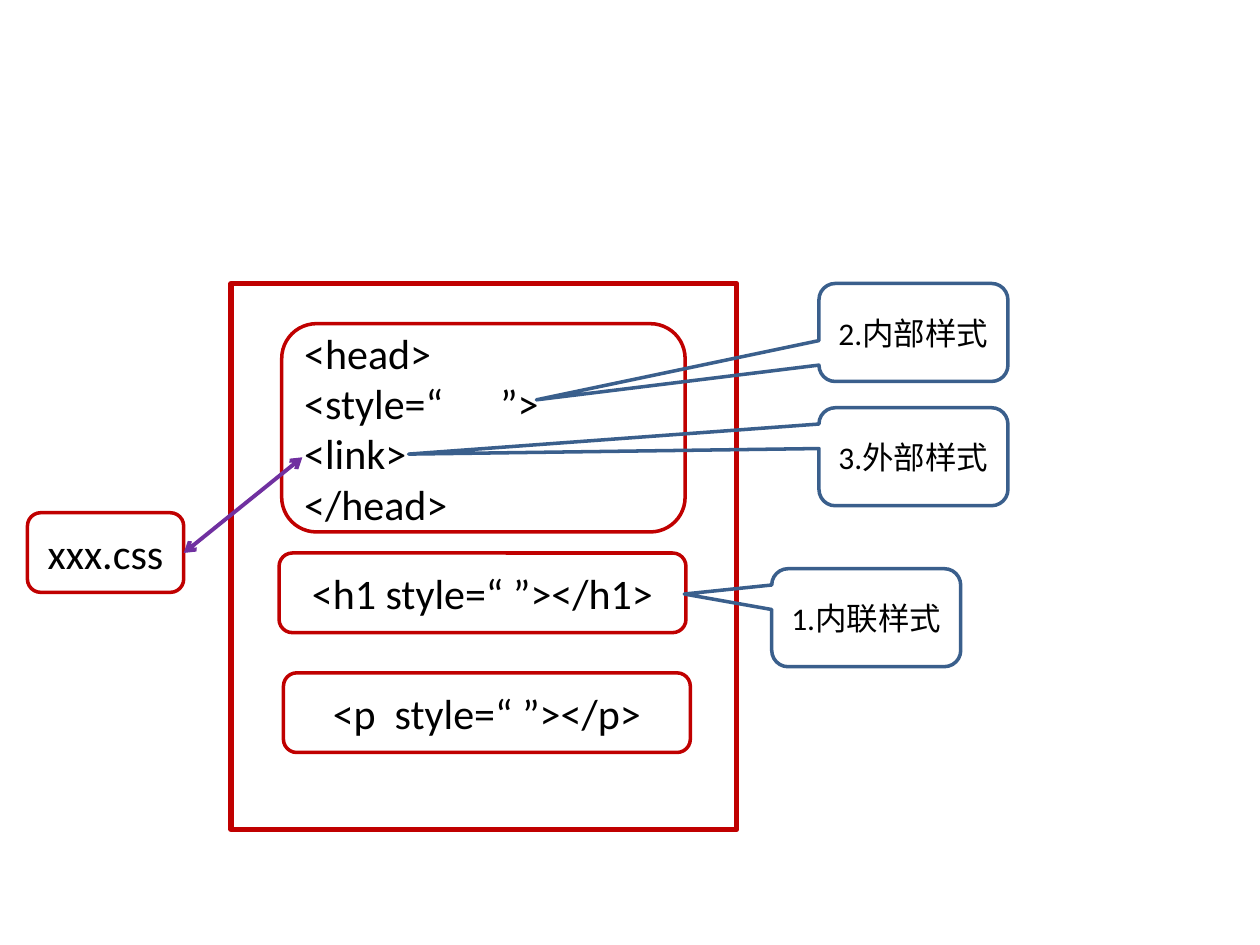
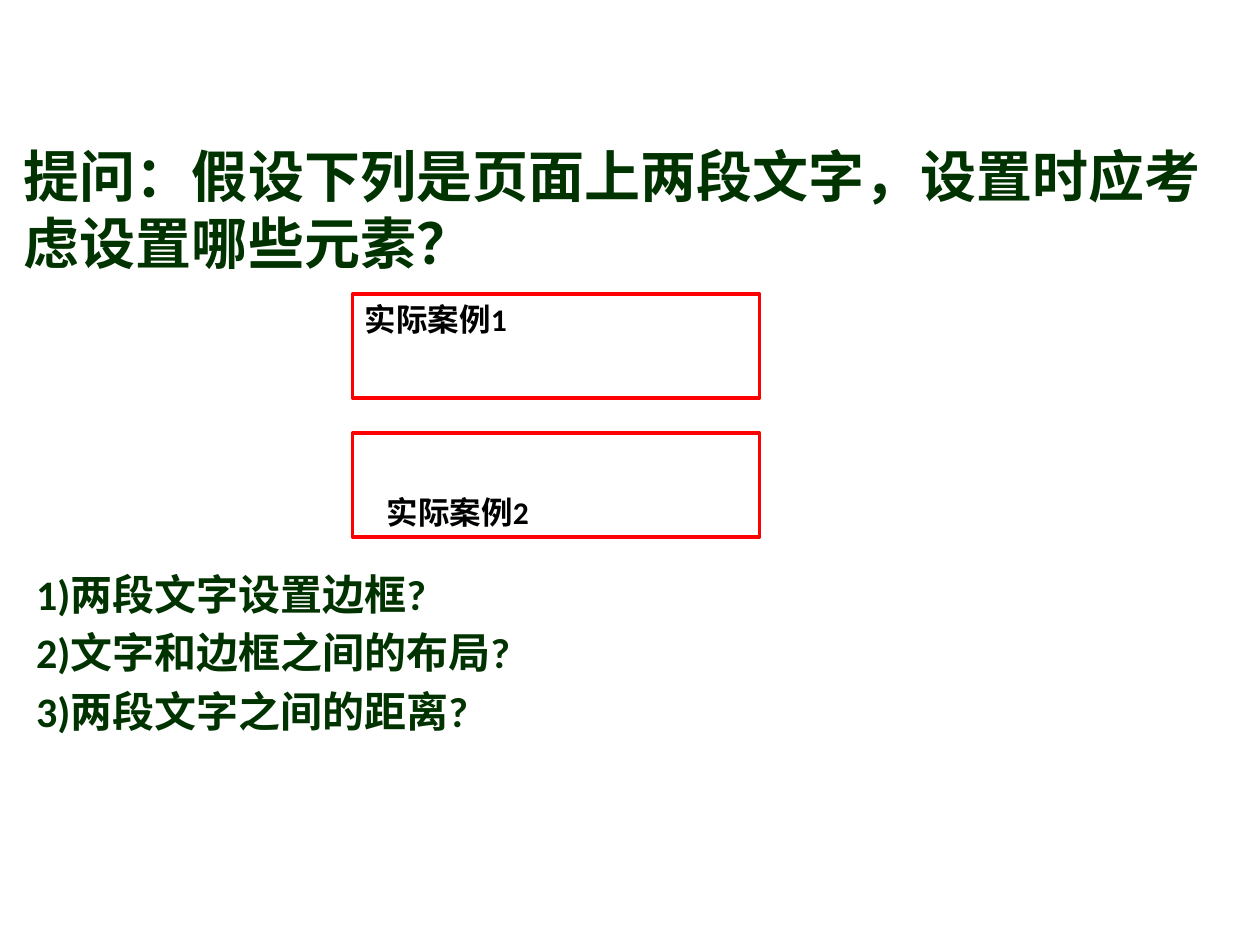
from dataclasses import dataclass

from lxml import etree
from pptx import Presentation
from pptx.dml.color import RGBColor
from pptx.enum import shapes, text
from pptx.oxml import ns
from pptx.util import Pt


@dataclass(frozen=True)
class Theme:
    font: str = "Calibri"
    ink: str = "000000"
    heading: str = "003300"
    frame: str = "C00000"
    callout: str = "3A5F8C"
    arrow: str = "7030A0"
    sample: str = "FF0000"
    question_size: int = 32
    code_size: int = 24
    note_size: int = 18


THEME = Theme()
KIND = shapes.MSO_SHAPE
ALIGN = text.PP_ALIGN
ANCHOR = text.MSO_ANCHOR

# Boxes are (left, top, width, height) in points.
PAGE_FRAME = (132, 162, 289, 312)
HEAD_BOX = (161, 185, 230.5, 119)
HEAD_LINES = ["<head>", "<style=“      ”>", "<link>", "</head>"]
CODE_BOXES = [
    ("<h1 style=“ ”></h1>", (159.5, 316, 232.5, 45.5)),
    ("<p  style=“ ”></p>", (162, 384.5, 232.5, 45.5)),
    ("xxx.css", (15.7, 293, 89.3, 45.5)),
]
CALLOUT_SIZE = (108, 56)
CALLOUTS = [  # label, corner, point of the wedge
    ("1.内联样式", (441, 325), (391, 339.5)),
    ("2.内部样式", (468, 162), (306.5, 228.5)),
    ("3.外部样式", (468, 233), (233.5, 259.5)),
]
LINK_ARROW = ((172.8, 261.3), (105, 316))

QUESTION = "提问：假设下列是页面上两段文字，设置时应考虑设置哪些元素？"
QUESTION_BOX = (6.5, 77, 705, 85)
SAMPLES = [  # label, anchor, left indent
    ("实际案例1", ANCHOR.TOP, 0),
    ("实际案例2", ANCHOR.BOTTOM, 12.5),
]
SAMPLE_BOX = (201.5, 168, 232.5, 59.5)
SAMPLE_STEP = 79.5
HINTS = ["1)两段文字设置边框?", "2)文字和边框之间的布局?", "3)两段文字之间的距离?"]
HINTS_BOX = (13.5, 321, 705, 106)


def points(values):
    return [Pt(value) for value in values]


def write(shape, lines, size, color=THEME.ink, align=ALIGN.LEFT,
          anchor=ANCHOR.MIDDLE, bold=False, before=0, indent=0):
    frame = shape.text_frame
    frame.word_wrap = True
    frame.auto_size = text.MSO_AUTO_SIZE.NONE
    frame.vertical_anchor = anchor
    for index, line in enumerate(lines):
        para = frame.add_paragraph() if index else frame.paragraphs[0]
        para.alignment = align
        para.space_before = Pt(before)
        props = para._p.get_or_add_pPr()
        props.set("marL", str(Pt(indent)))
        props.set("indent", "0")
        etree.SubElement(props, ns.qn("a:buNone"))
        span = para.add_run()
        span.text = line
        span.font.name = THEME.font
        span.font.size = Pt(size)
        span.font.bold = bold
        span.font.color.rgb = RGBColor.from_string(color)


def outline(page, kind, box, color, width=2):
    """Add an unfilled shape with a coloured border."""
    shape = page.shapes.add_shape(kind, *points(box))
    shape.shadow.inherit = False
    shape.fill.background()
    shape.line.color.rgb = RGBColor.from_string(color)
    shape.line.width = Pt(width)
    return shape


def add_callout(page, label, corner, tip):
    shape = outline(page, KIND.ROUNDED_RECTANGULAR_CALLOUT,
                    corner + CALLOUT_SIZE, THEME.callout)
    for axis, (start, length, target) in enumerate(zip(corner, CALLOUT_SIZE, tip)):
        shape.adjustments[axis] = (target - start) / length - 0.5
    write(shape, [label], THEME.note_size, align=ALIGN.CENTER)


def add_double_arrow(page, start, end):
    arrow = page.shapes.add_connector(
        shapes.MSO_CONNECTOR.STRAIGHT, *points(start + end))
    arrow.line.color.rgb = RGBColor.from_string(THEME.arrow)
    arrow.line.width = Pt(2.25)
    props = arrow._element.spPr
    for tag in ("a:headEnd", "a:tailEnd"):
        etree.SubElement(props.find(ns.qn("a:ln")), ns.qn(tag), type="arrow")
    etree.SubElement(props, ns.qn("a:effectLst"))


def place(shape, box):
    shape.left, shape.top, shape.width, shape.height = points(box)
    return shape


def build_style_locations(deck):
    page = deck.slides.add_slide(deck.slide_layouts[6])
    outline(page, KIND.RECTANGLE, PAGE_FRAME, THEME.frame, 3)
    for code, box in CODE_BOXES:
        shape = outline(page, KIND.ROUNDED_RECTANGLE, box, THEME.frame)
        write(shape, [code], THEME.code_size, align=ALIGN.CENTER)
    head = outline(page, KIND.ROUNDED_RECTANGLE, HEAD_BOX, THEME.frame)
    write(head, HEAD_LINES, THEME.code_size)
    for callout in CALLOUTS:
        add_callout(page, *callout)
    add_double_arrow(page, *LINK_ARROW)


def build_question(deck):
    page = deck.slides.add_slide(deck.slide_layouts[1])
    heading = dict(color=THEME.heading, anchor=ANCHOR.TOP, bold=True)
    write(place(page.shapes.title, QUESTION_BOX), [QUESTION],
          THEME.question_size, before=6.4, **heading)
    left, top, width, height = SAMPLE_BOX
    for row, (label, anchor, indent) in enumerate(SAMPLES):
        box = (left, top + row * SAMPLE_STEP, width, height)
        shape = outline(page, KIND.RECTANGLE, box, THEME.sample)
        write(shape, [label], THEME.note_size, anchor=anchor, bold=True,
              indent=indent)
    write(place(page.placeholders[1], HINTS_BOX), HINTS,
          THEME.code_size, before=4.8, **heading)


def main():
    deck = Presentation()
    deck.slide_width, deck.slide_height = Pt(720), Pt(540)
    build_style_locations(deck)
    build_question(deck)
    deck.save("out.pptx")


if __name__ == "__main__":
    main()
